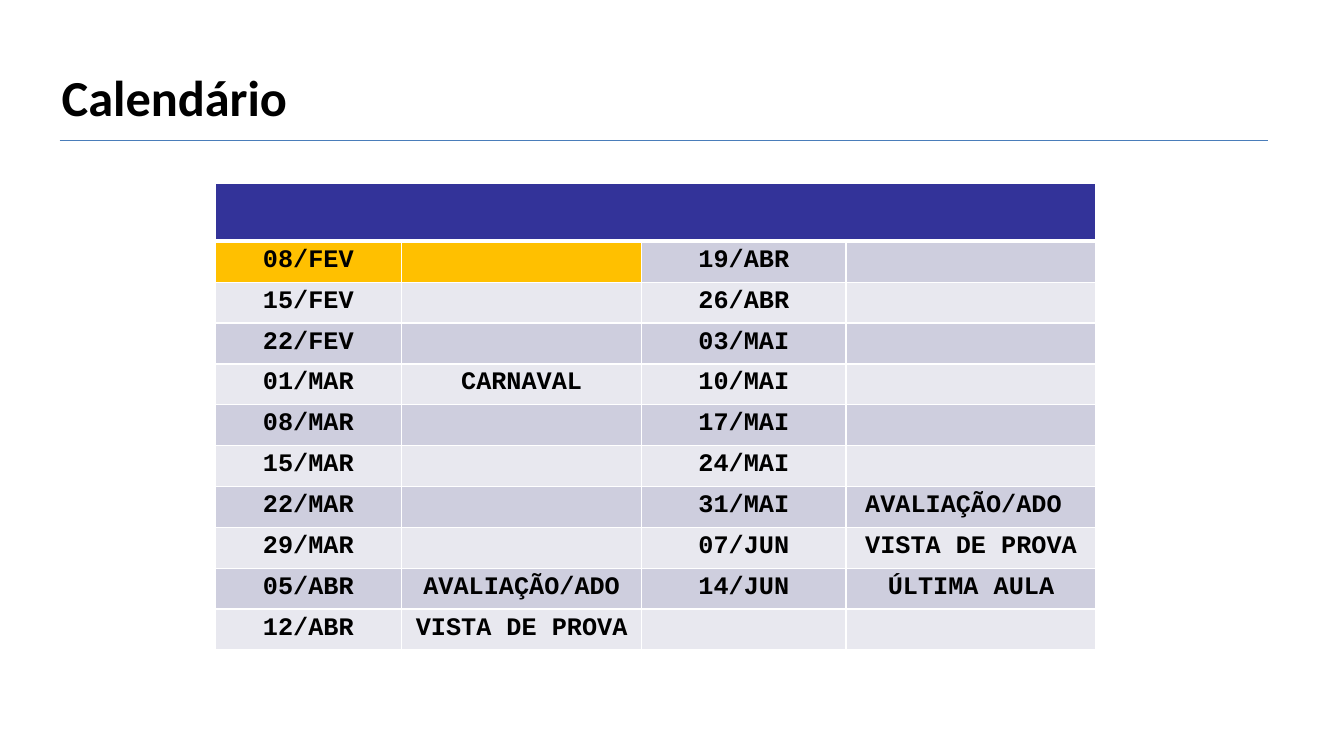
from lxml import etree
from pptx import Presentation
from pptx.dml.color import RGBColor
from pptx.enum import shapes, text
from pptx.oxml import ns
from pptx.util import Cm, Pt

HEADING = "Calendário"
LESSONS = [
    ("08/FEV", "", "19/ABR", ""),
    ("15/FEV", "", "26/ABR", ""),
    ("22/FEV", "", "03/MAI", ""),
    ("01/MAR", "CARNAVAL", "10/MAI", ""),
    ("08/MAR", "", "17/MAI", ""),
    ("15/MAR", "", "24/MAI", ""),
    ("22/MAR", "", "31/MAI", "AVALIAÇÃO/ADO "),
    ("29/MAR", "", "07/JUN", "VISTA DE PROVA"),
    ("05/ABR", "AVALIAÇÃO/ADO", "14/JUN", "ÚLTIMA AULA"),
    ("12/ABR", "VISTA DE PROVA", "", ""),
]
COLUMN_WIDTHS = [Cm(4.7), Cm(6.05), Cm(5.15), Cm(6.3)]
HEADER_HEIGHT = Cm(1.45)
LESSONS_HEIGHT = Cm(10.25)
HEADER_FILL = "333399"
BANDS = ["CECEDE", "E8E8EF"]
FIRST_LESSON_FILL = "FFC000"
FIRST_LESSON_CELLS = {(0, 0), (0, 1)}


def color(value):
    return RGBColor.from_string(value)


def write(frame, words, *, font, size, align, ink="000000"):
    paragraph = frame.paragraphs[0]
    paragraph.alignment = align
    run = paragraph.add_run()
    run.text = words
    run.font.name = font
    run.font.size = Pt(size)
    run.font.bold = True
    run.font.color.rgb = color(ink)


def paint(cell, fill, bottom=1):
    properties = cell._tc.get_or_add_tcPr()
    for side, width in (("L", 1), ("R", 1), ("T", 1), ("B", bottom)):
        border = etree.SubElement(properties, ns.qn(f"a:ln{side}"), w=str(Pt(width)))
        solid = etree.SubElement(border, ns.qn("a:solidFill"))
        etree.SubElement(solid, ns.qn("a:srgbClr"), val="FFFFFF")
    cell.fill.solid()
    cell.fill.fore_color.rgb = color(fill)


deck = Presentation()
deck.slide_width, deck.slide_height = Cm(33.87), Cm(19.05)
slide = deck.slides.add_slide(deck.slide_layouts[5])

heading = slide.shapes.title
heading.left, heading.top, heading.width, heading.height = Cm(1.3), Cm(1.52), Cm(22.83), Cm(1.8)
heading.text_frame.vertical_anchor = text.MSO_ANCHOR.MIDDLE
write(heading.text_frame, HEADING, font="Calibri", size=36, align=text.PP_ALIGN.LEFT)

rule = slide.shapes.add_connector(
    shapes.MSO_CONNECTOR.STRAIGHT, Cm(1.5), Cm(3.53), Cm(31.95), Cm(3.53))
rule.line.color.rgb = color("4A7DBA")
rule.line.width = Pt(0.75)
etree.SubElement(rule._element.spPr, ns.qn("a:effectLst"))

calendar = slide.shapes.add_table(
    len(LESSONS) + 1, len(COLUMN_WIDTHS), Cm(5.42), Cm(4.63),
    sum(COLUMN_WIDTHS), HEADER_HEIGHT + LESSONS_HEIGHT).table
for column, width in zip(calendar.columns, COLUMN_WIDTHS):
    column.width = width
for row in calendar.rows:
    row.height = LESSONS_HEIGHT // len(LESSONS)
calendar.rows[0].height = HEADER_HEIGHT

for cell in calendar.rows[0].cells:
    paint(cell, HEADER_FILL, bottom=3)
calendar.cell(0, 0).merge(calendar.cell(0, len(COLUMN_WIDTHS) - 1))

for week, lesson in enumerate(LESSONS):
    for place, words in enumerate(lesson):
        cell = calendar.cell(week + 1, place)
        first = (week, place) in FIRST_LESSON_CELLS
        paint(cell, FIRST_LESSON_FILL if first else BANDS[week % 2])
        if words:
            write(cell.text_frame, words, font="Courier New", size=18,
                  align=text.PP_ALIGN.CENTER)

deck.save("out.pptx")
